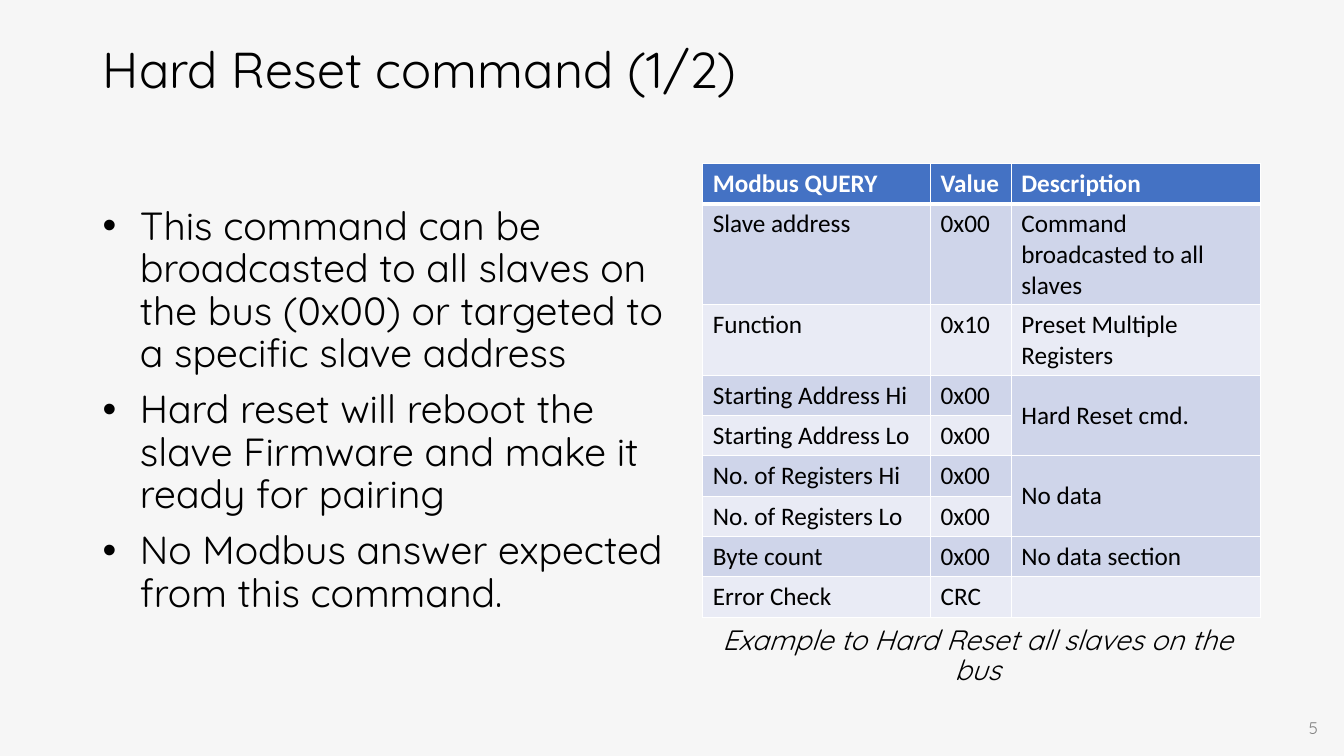
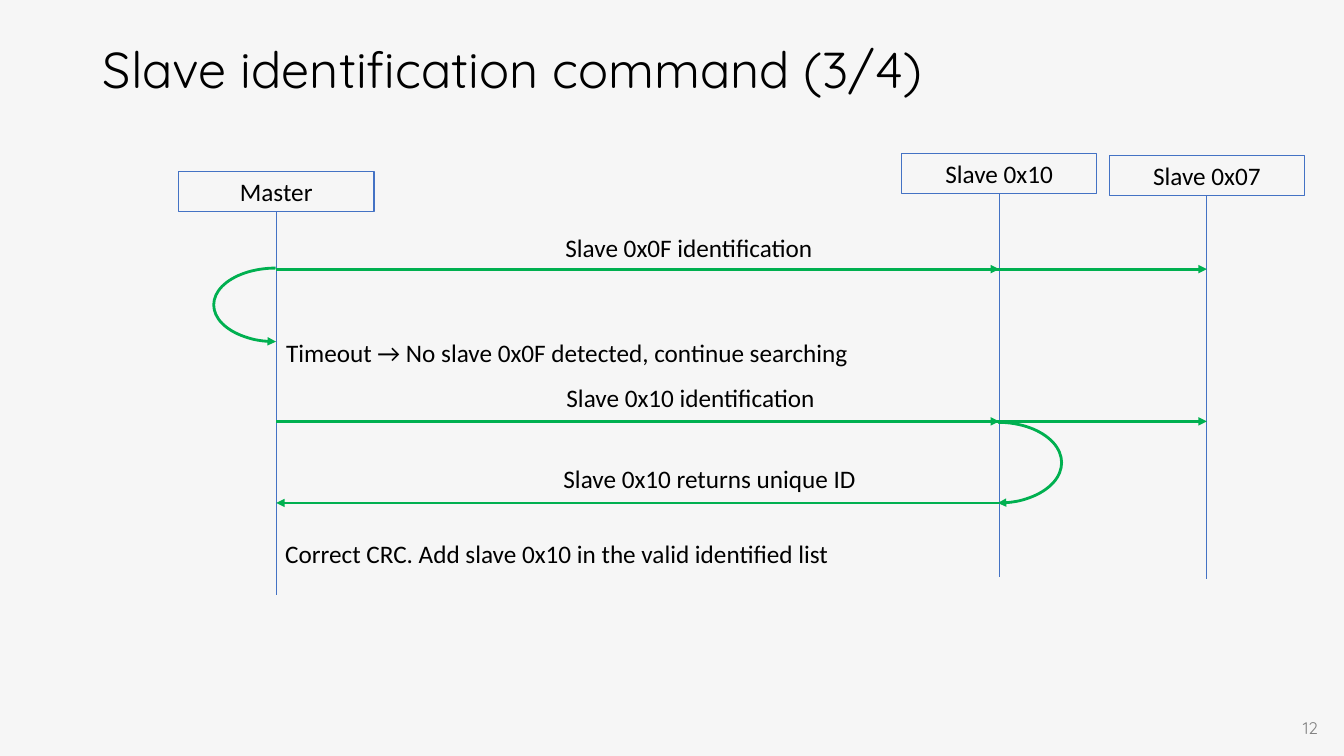
from lxml import etree
from pptx import Presentation
from pptx.dml.color import RGBColor
from pptx.enum.shapes import MSO_CONNECTOR, MSO_SHAPE
from pptx.enum.text import MSO_ANCHOR, MSO_AUTO_SIZE, PP_ALIGN
from pptx.oxml.ns import qn
from pptx.util import Inches, Pt

STRAIGHT = MSO_CONNECTOR.STRAIGHT
RECTANGLE, ARC = MSO_SHAPE.RECTANGLE, MSO_SHAPE.ARC
TOP, MIDDLE, BOTTOM = MSO_ANCHOR.TOP, MSO_ANCHOR.MIDDLE, MSO_ANCHOR.BOTTOM
LEFT, CENTER, RIGHT = PP_ALIGN.LEFT, PP_ALIGN.CENTER, PP_ALIGN.RIGHT
NO_AUTOFIT = MSO_AUTO_SIZE.NONE
BOTTOM_SIDE = 2

# Shared colours and text formats
BACKGROUND, BLACK, WHITE, GREY = "F6F6F6", "000000", "FFFFFF", "808080"
BLUE, GREEN = "4472C4", "00B050"
ROW_FILLS = ("CFD5EA", "E9EBF5")

TITLE = {"name": "Quicksand", "size": Pt(36), "color": BLACK}
BODY = {**TITLE, "size": Pt(28)}
CAPTION = {**TITLE, "size": Pt(20), "italic": True}
PAGE_NUMBER = {**TITLE, "size": Pt(12), "color": GREY}
PLAIN = {"name": "Calibri", "size": Pt(18), "color": BLACK}
TABLE_HEAD = {**PLAIN, "bold": True, "color": WHITE}
TIGHT = {"line_spacing": 0.9}
SPACED = {"line_spacing": 0.9, "space_before": Pt(10)}

# Slide 1 content
RESET_POINTS = [
    "This command can be broadcasted to all slaves on the bus (0x00) "
    "or targeted to a specific slave address",
    "Hard reset will reboot the slave Firmware and make it ready for pairing",
    "No Modbus answer expected from this command.",
]
QUERY_ROWS = [
    ("Modbus QUERY", "Value", "Description"),
    ("Slave address", "0x00", "Command broadcasted to all slaves"),
    ("Function", "0x10", "Preset Multiple Registers"),
    ("Starting Address Hi", "0x00", "Hard Reset cmd."),
    ("Starting Address Lo", "0x00", ""),
    ("No. of Registers Hi", "0x00", "No data"),
    ("No. of Registers Lo", "0x00", ""),
    ("Byte count", "0x00", "No data section"),
    ("Error Check", "CRC", ""),
]
QUERY_WIDTHS = (2.26, 0.8, 2.47)
QUERY_HEIGHTS = (0.4, 1, 0.7) + (0.4,) * 6
MERGED_ROWS = ((3, 4), (5, 6))

# Slide 2 content: name, centre and top of each participant
PARTICIPANTS = [
    ("Master", 2.74, 1.7),
    ("Slave 0x10", 9.91, 1.52),
    ("Slave 0x07", 11.97, 1.54),
]
BOX_WIDTH, BOX_HEIGHT, LIFELINE_LENGTH = 1.94, 0.4, 3.8
FIRST_QUERY_Y, SECOND_QUERY_Y, ANSWER_Y = 2.67, 4.18, 4.99
# Text, left, top, width, wrap
SEQUENCE_LABELS = [
    ("Slave 0x0F identification", 5.51, 2.26, 2.7, False),
    ("Timeout → No slave 0x0F detected, continue searching", 2.74, 3.3, 6.36, True),
    ("Slave 0x10 identification", 5.52, 3.74, 2.7, False),
    ("Slave 0x10 returns unique ID", 5.49, 4.55, 3.14, False),
    ("Correct CRC. Add slave 0x10 in the valid identified list", 2.73, 5.29, 5.69, True),
]


def rgb(value):
    return RGBColor.from_string(value)


def inches(*values):
    return [Inches(value) for value in values]


def write_paragraph(paragraph, text, font_format, align=LEFT, spacing=None):
    run = paragraph.add_run()
    run.text = text
    for name, value in font_format.items():
        if name == "color":
            run.font.color.rgb = rgb(value)
        else:
            setattr(run.font, name, value)
    paragraph.alignment = align
    for name, value in (spacing or {}).items():
        setattr(paragraph, name, value)


def add_text(slide, texts, box, font_format, align=LEFT, anchor=TOP,
             wrap=True, spacing=None, bullets=False):
    frame = slide.shapes.add_textbox(*inches(*box)).text_frame
    frame.word_wrap = wrap
    frame.vertical_anchor = anchor
    for index, text in enumerate(texts):
        paragraph = frame.add_paragraph() if index else frame.paragraphs[0]
        write_paragraph(paragraph, text, font_format, align, spacing)
        if bullets:
            add_bullet(paragraph)


def add_bullet(paragraph):
    properties = paragraph._p.get_or_add_pPr()
    properties.set("marL", str(Inches(0.37)))
    properties.set("indent", str(-Inches(0.37)))
    etree.SubElement(properties, qn("a:buFont"), typeface="Arial")
    etree.SubElement(properties, qn("a:buChar"), char="•")


def add_titled_slide(presentation, title_text, number):
    slide = presentation.slides.add_slide(presentation.slide_layouts[5])
    title = slide.shapes.title
    title.left, title.top, title.width, title.height = inches(0.92, 0.4, 11.5, 1.22)
    frame = title.text_frame
    frame.auto_size = NO_AUTOFIT
    frame.vertical_anchor = TOP
    write_paragraph(frame.paragraphs[0], title_text, TITLE, spacing=TIGHT)
    add_text(slide, [number], (10.17, 6.97, 3, 0.4), PAGE_NUMBER, RIGHT, BOTTOM)
    return slide


# Table
def set_borders(cell, widths):
    properties = cell._tc.get_or_add_tcPr()
    for side, width in zip("LRTB", widths):
        line = etree.SubElement(properties, qn(f"a:ln{side}"), w=str(Pt(width)))
        fill = etree.SubElement(line, qn("a:solidFill"))
        etree.SubElement(fill, qn("a:srgbClr"), val=WHITE)


def add_query_table(slide):
    box = inches(6.97, 1.62, sum(QUERY_WIDTHS), sum(QUERY_HEIGHTS))
    table = slide.shapes.add_table(len(QUERY_ROWS), len(QUERY_WIDTHS), *box).table
    for column, width in zip(table.columns, QUERY_WIDTHS):
        column.width = Inches(width)
    for row, height in zip(table.rows, QUERY_HEIGHTS):
        row.height = Inches(height)
    for row_index, texts in enumerate(QUERY_ROWS):
        head = row_index == 0
        for column_index, text in enumerate(texts):
            cell = table.cell(row_index, column_index)
            set_borders(cell, (1, 1, 3 if row_index == 1 else 1, 3 if head else 1))
            cell.fill.solid()
            cell.fill.fore_color.rgb = rgb(BLUE if head else ROW_FILLS[(row_index - 1) % 2])
            if text:
                write_paragraph(cell.text_frame.paragraphs[0], text,
                                TABLE_HEAD if head else PLAIN)
    for first, last in MERGED_ROWS:
        cell = table.cell(first, 2)
        cell.merge(table.cell(last, 2))
        cell.vertical_anchor = MIDDLE


# Sequence diagram
def set_line(shape, color, width, arrow=False):
    shape.line.color.rgb = rgb(color)
    shape.line.width = Pt(width)
    properties = shape._element.spPr
    if arrow:
        etree.SubElement(properties.find(qn("a:ln")), qn("a:tailEnd"), type="triangle")


def add_line(slide, start, end, color, width, arrow=False):
    connector = slide.shapes.add_connector(STRAIGHT, *inches(*start, *end))
    set_line(connector, color, width, arrow)
    etree.SubElement(connector._element.spPr, qn("a:effectLst"))
    return connector


def add_message(slide, start_x, end_x, y):
    add_line(slide, (start_x, y), (end_x, y), GREEN, 2, arrow=True)


def add_participant(slide, name, center, top):
    box = slide.shapes.add_shape(
        RECTANGLE, *inches(center - BOX_WIDTH / 2, top, BOX_WIDTH, BOX_HEIGHT))
    box.shadow.inherit = False
    box.fill.background()
    set_line(box, BLUE, 0.75)
    write_paragraph(box.text_frame.paragraphs[0], name, PLAIN, CENTER)
    bottom = top + BOX_HEIGHT
    lifeline = add_line(slide, (center, bottom), (center, bottom + LIFELINE_LENGTH), BLUE, 0.5)
    lifeline.begin_connect(box, BOTTOM_SIDE)


def add_return_arc(slide, box, flipped=False):
    arc = slide.shapes.add_shape(ARC, *inches(*box))
    arc.shadow.inherit = False
    arc.fill.background()
    arc.adjustments[0], arc.adjustments[1] = 162, 54.26
    set_line(arc, GREEN, 2, arrow=True)
    if flipped:
        arc._element.spPr.xfrm.set("flipH", "1")


# Slides
def build_reset_slide(presentation):
    slide = add_titled_slide(presentation, "Hard Reset command (1/2)", "5")
    add_text(slide, RESET_POINTS, (0.92, 2, 5.86, 4.76), BODY, spacing=SPACED, bullets=True)
    add_query_table(slide)
    add_text(slide, ["Example to Hard Reset all slaves on the bus"],
             (6.97, 6.16, 5.45, 0.6), CAPTION, CENTER, spacing=SPACED)


def build_identification_slide(presentation):
    slide = add_titled_slide(presentation, "Slave identification command (3/4)", "12")
    for participant in PARTICIPANTS:
        add_participant(slide, *participant)
    master, *slaves = [center for _, center, _ in PARTICIPANTS]
    for y in (FIRST_QUERY_Y, SECOND_QUERY_Y):
        for slave in slaves:
            add_message(slide, master, slave, y)
    add_message(slide, slaves[0], master, ANSWER_Y)
    add_return_arc(slide, (2.12, 2.66, 1.23, 0.73), flipped=True)
    add_return_arc(slide, (9.27, 4.19, 1.26, 0.8))
    for text, left, top, width, wrap in SEQUENCE_LABELS:
        add_text(slide, [text], (left, top, width, 0.4), PLAIN, wrap=wrap)


def main():
    presentation = Presentation()
    presentation.slide_width, presentation.slide_height = inches(13.33, 7.5)
    background = presentation.slide_master.background.fill
    background.solid()
    background.fore_color.rgb = rgb(BACKGROUND)
    build_reset_slide(presentation)
    build_identification_slide(presentation)
    presentation.save("out.pptx")


if __name__ == "__main__":
    main()
